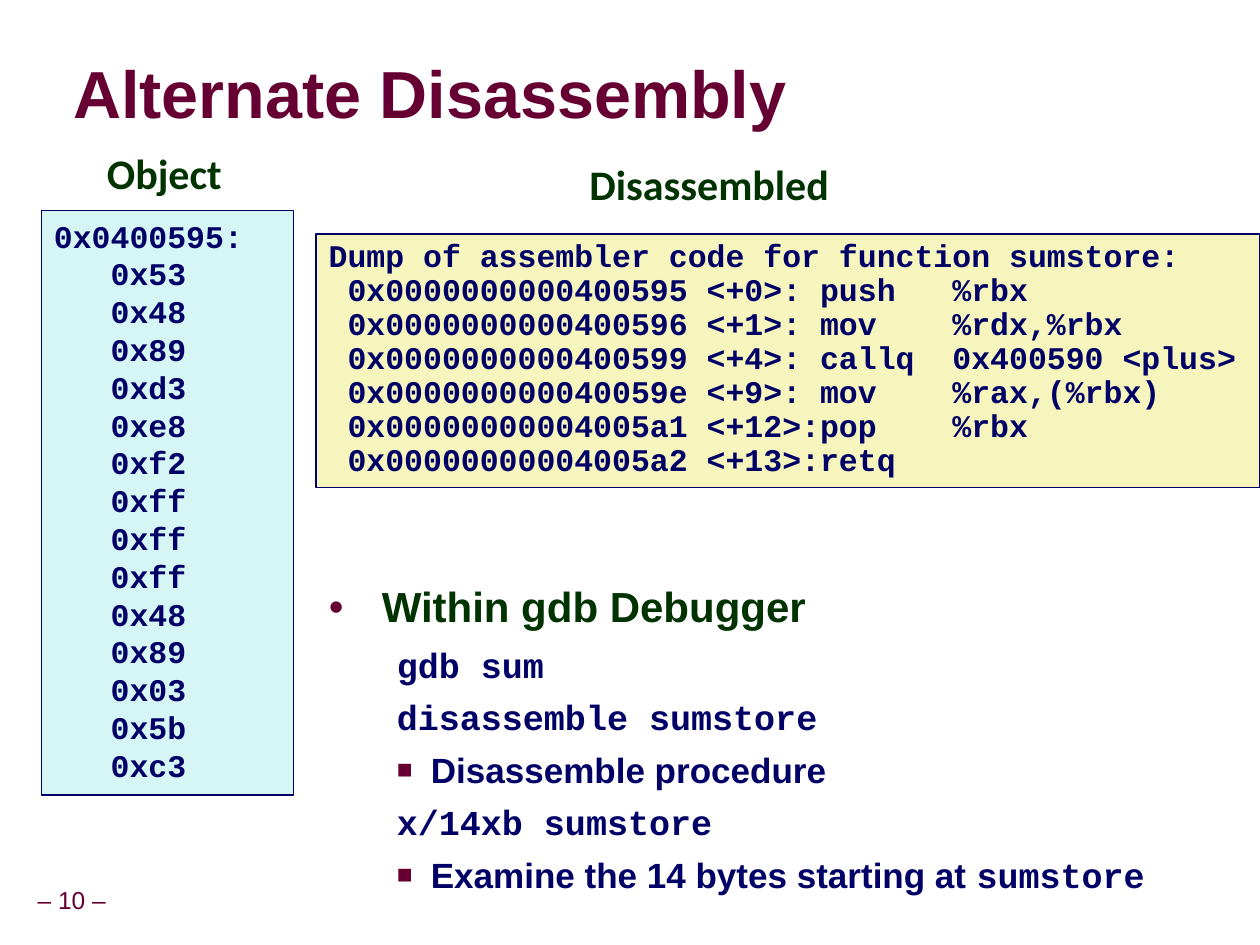
from lxml import etree
from pptx import Presentation, util as u
from pptx.dml.color import RGBColor
from pptx.enum import shapes, text
from pptx.oxml.ns import qn

MAROON, GREEN, NAVY = "660033", "003300", "000066"
SANS, MONO, LABEL = "Arial", "Courier New", "Calibri"
MARGINS = (0.1, 0.05, 0.1, 0.05)

TITLE = "Alternate Disassembly"
OBJECT_START = "0x0400595:"
OBJECT_BYTES = "53 48 89 d3 e8 f2 ff ff ff 48 89 03 5b c3".split()
DUMP = [
    "Dump of assembler code for function sumstore:",
    " 0x0000000000400595 <+0>: push   %rbx",
    " 0x0000000000400596 <+1>: mov    %rdx,%rbx",
    " 0x0000000000400599 <+4>: callq  0x400590 <plus>",
    " 0x000000000040059e <+9>: mov    %rax,(%rbx)",
    " 0x00000000004005a1 <+12>:pop    %rbx",
    " 0x00000000004005a2 <+13>:retq",
]
HEADING = "Within gdb Debugger"
# Each step: bulleted or not, then its (text, font) runs
STEPS = [
    (False, [("gdb sum", MONO)]),
    (False, [("disassemble sumstore", MONO)]),
    (True, [("Disassemble procedure", SANS)]),
    (False, [("x/14xb sumstore", MONO)]),
    (True, [("Examine the 14 bytes starting at ", SANS), ("sumstore", MONO)]),
]
LABELS = [("Object", (0.75, 1.17, 1.43, 0.45)),
          ("Disassembled", (4.58, 1.25, 2.85, 0.45))]
PANELS = [
    (DUMP, (2.51, 1.86, 7.49, 2.01), "F6F5BD", 0.9),
    ([OBJECT_START] + ["   0x" + b for b in OBJECT_BYTES],
     (0.33, 1.67, 2, 4.64), "D6F5F5", 1),
]


def color(value):
    return RGBColor.from_string(value)


def inches(box):
    return [u.Inches(v) for v in box]


def place(sp, box):
    sp.left, sp.top, sp.width, sp.height = inches(box)


def frame(sp, margins=MARGINS, anchor=text.MSO_ANCHOR.TOP, wrap=True):
    tf = sp.text_frame
    tf.auto_size = text.MSO_AUTO_SIZE.NONE
    tf.word_wrap = wrap
    tf.vertical_anchor = anchor
    (tf.margin_left, tf.margin_top,
     tf.margin_right, tf.margin_bottom) = inches(margins)
    return tf


def write(p, content, font=SANS, size=18, fill=NAVY, bold=True, spacing=1,
          before=0, align=text.PP_ALIGN.LEFT):
    p.alignment, p.line_spacing, p.space_before = align, spacing, u.Pt(before)
    r = p.add_run()
    r.text = content
    r.font.name, r.font.size, r.font.bold = font, u.Pt(size), bold
    r.font.color.rgb = color(fill)
    return r


def bullet(p, char, left, hanging, percent=100):
    """Set the indent and bullet of a paragraph; no char means no bullet."""
    pPr = p._p.get_or_add_pPr()
    pPr.set("marL", str(u.Inches(left)))
    pPr.set("indent", str(-u.Inches(hanging)))
    if not char:
        etree.SubElement(pPr, qn("a:buNone"))
        return
    clr = etree.SubElement(pPr, qn("a:buClr"))
    etree.SubElement(clr, qn("a:srgbClr"), val=MAROON)
    etree.SubElement(pPr, qn("a:buSzPct"), val=str(percent * 1000))
    etree.SubElement(pPr, qn("a:buFont"), typeface=SANS)
    etree.SubElement(pPr, qn("a:buChar"), char=char)


def text_shadow(r):
    effects = etree.Element(qn("a:effectLst"))
    shadow = etree.SubElement(effects, qn("a:outerShdw"), blurRad="38100",
                              dist="38100", dir="2700000")
    clr = etree.SubElement(shadow, qn("a:srgbClr"), val="000000")
    etree.SubElement(clr, qn("a:alpha"), val="43000")
    r.font.fill._xPr.find(qn("a:solidFill")).addnext(effects)


def paragraphs(tf):
    """Yield the first paragraph, then new ones as needed."""
    yield tf.paragraphs[0]
    while True:
        yield tf.add_paragraph()


def add_panel(s, lines, box, fill, spacing):
    sp = s.shapes.add_shape(shapes.MSO_SHAPE.RECTANGLE, *inches(box))
    sp.shadow.inherit = False
    sp.fill.solid()
    sp.fill.fore_color.rgb = color(fill)
    sp.line.color.rgb = color(NAVY)
    sp.line.width = u.Pt(1)
    for line, p in zip(lines, paragraphs(frame(sp))):
        write(p, line, font=MONO, spacing=spacing)


def add_label(s, content, box, margins=MARGINS, anchor=text.MSO_ANCHOR.TOP,
              wrap=True, **style):
    tf = frame(s.shapes.add_textbox(*inches(box)), margins, anchor, wrap)
    write(tf.paragraphs[0], content, spacing=0.9, **style)


def fill_body(body):
    place(body, (2.51, 4.59, 6.89, 2.46))
    tf = frame(body)
    p = tf.paragraphs[0]
    bullet(p, "•", 0.42, 0.42)
    write(p, HEADING, size=24, fill=GREEN, spacing=0.95)
    for bulleted, runs in STEPS:
        p = tf.add_paragraph()
        p.level = 1
        bullet(p, "■" if bulleted else None, 0.81, 0.27, 75)
        for content, font in runs:
            write(p, content, font=font, size=20, before=6)


def main():
    prs = Presentation()
    prs.slide_width, prs.slide_height = u.Inches(10), u.Inches(7.5)
    s = prs.slides.add_slide(prs.slide_layouts[1])

    title = s.shapes.title
    place(title, (0.58, 0.46, 6.83, 0.63))
    tf = frame(title, (0, 0, 0, 0), text.MSO_ANCHOR.MIDDLE)
    text_shadow(write(tf.paragraphs[0], TITLE, size=38, fill=MAROON,
                      spacing=0.87))
    fill_body(s.placeholders[1])

    for panel in PANELS:
        add_panel(s, *panel)
    for content, box in LABELS:
        add_label(s, content, box, font=LABEL, size=24, fill=GREEN)
    add_label(s, "– 10 –", (0.24, 7, 0.66, 0.31), margins=(0.05,) * 4,
              anchor=text.MSO_ANCHOR.MIDDLE, wrap=False, size=14, fill=MAROON,
              bold=False, align=text.PP_ALIGN.CENTER)
    prs.save("out.pptx")


if __name__ == "__main__":
    main()
